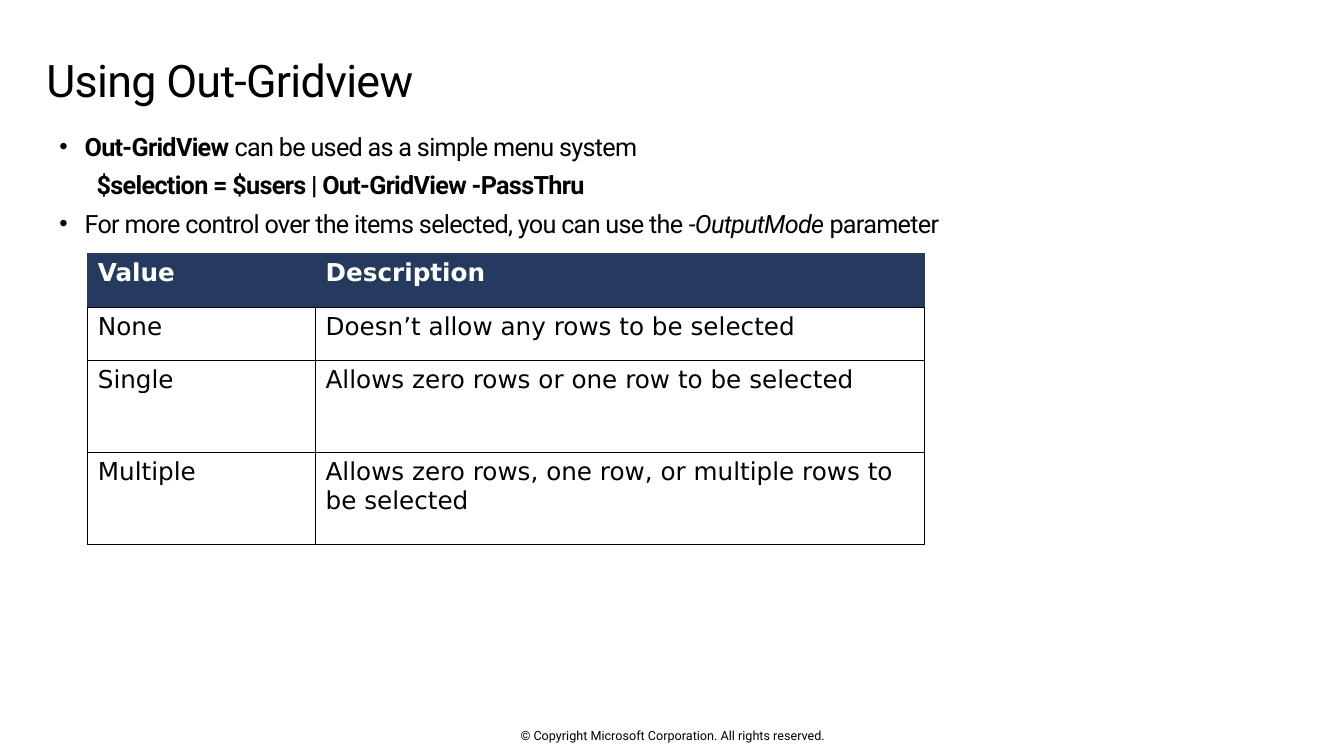
import pptx
import pptx.dml.color
import pptx.enum.text
import pptx.oxml.ns
import pptx.util
from dataclasses import dataclass
from lxml import etree

TITLE = "Using Out-Gridview"
POINTS = [
    ("bullet", [("Out-GridView", "bold"), (" can be used as a simple menu system", "")]),
    ("code", [("$selection = $users | Out-GridView -PassThru", "bold")]),
    ("bullet", [
        ("For more control over the items selected, you can use the ", ""),
        ("-OutputMode ", "italic"),
        ("parameter", ""),
    ]),
]
MODES = [
    ("Value", "Description"),
    ("None", "Doesn’t allow any rows to be selected"),
    ("Single", "Allows zero rows or one row to be selected"),
    ("Multiple", "Allows zero rows, one row, or multiple rows to be selected"),
]
COPYRIGHT = "© Copyright Microsoft Corporation. All rights reserved."

SLIDE_SIZE = (13.33, 7.5)
TITLE_AREA = (3.45, 6.4, 93.02, 9.87)
POINTS_AREA = (3.45, 16.67, 93.17, 21.33)
COPYRIGHT_AREA = (33.16, 96.27, 33.76, 2)
MODES_CORNER = (6.53, 33.6)
MODES_COLUMNS = (16.95, 45.31)
MODES_ROWS = (7.07, 7.07, 12.13, 12.13)
INDENTS = {"bullet": (0.38, -0.25), "code": (0.5, 0)}


@dataclass(frozen=True)
class Theme:
    font: str = "Roboto"
    table_font: str = "DejaVu Sans"
    ink: str = "000000"
    paper: str = "FFFFFF"
    header: str = "243A5E"
    title_size: float = 32
    body_size: float = 18
    table_size: float = 17.6
    copyright_size: float = 9


THEME = Theme()


def across(percent):
    return pptx.util.Inches(SLIDE_SIZE[0] * percent / 100)


def down(percent):
    return pptx.util.Inches(SLIDE_SIZE[1] * percent / 100)


def add_child(parent, tag, **attributes):
    return etree.SubElement(parent, pptx.oxml.ns.qn(tag), **attributes)


def write(paragraph, text, *, size, font=THEME.font, color=THEME.ink, style="", tracking=0):
    run = paragraph.add_run()
    run.text = text
    run.font.name = font
    run.font.size = pptx.util.Pt(size)
    run.font.color.rgb = pptx.dml.color.RGBColor.from_string(color)
    run.font.bold = style == "bold"
    run.font.italic = style == "italic"
    if tracking:
        run.font._element.set("spc", str(round(tracking * 100)))


def add_area(slide, area, insets):
    left, top, width, height = area
    frame = slide.shapes.add_textbox(across(left), down(top), across(width), down(height)).text_frame
    frame.word_wrap = True
    frame.margin_left, frame.margin_top, frame.margin_right, frame.margin_bottom = map(pptx.util.Inches, insets)
    return frame


def add_title(slide):
    heading = add_area(slide, TITLE_AREA, (0, 0.1, 0.16, 0.1)).paragraphs[0]
    heading.line_spacing = 0.9
    write(heading, TITLE, size=THEME.title_size, tracking=-0.5)


def add_points(slide):
    frame = add_area(slide, POINTS_AREA, (0, 0.05, 0, 0.05))
    for index, (kind, phrases) in enumerate(POINTS):
        point = frame.add_paragraph() if index else frame.paragraphs[0]
        if index:
            point.space_before = pptx.util.Pt(6)
        properties = point._p.get_or_add_pPr()
        margin, indent = INDENTS[kind]
        properties.set("marL", str(pptx.util.Inches(margin)))
        properties.set("indent", str(pptx.util.Inches(indent)))
        if kind == "bullet":
            add_child(properties, "a:buSzPct", val="95000")
            add_child(properties, "a:buFont", typeface="Arial")
            add_child(properties, "a:buChar", char="•")
        for text, style in phrases:
            write(point, text, size=THEME.body_size, style=style, tracking=-0.5)


def set_borders(cell, colors):
    properties = cell._tc.get_or_add_tcPr()
    for position, (side, color) in enumerate(zip("LRTB", colors)):
        line = add_child(properties, "a:ln" + side, w=str(pptx.util.Pt(1)))
        add_child(add_child(line, "a:solidFill"), "a:srgbClr", val=color)
        properties.insert(position, line)


def add_modes(slide):
    left, top = MODES_CORNER
    table = slide.shapes.add_table(
        len(MODES_ROWS), len(MODES_COLUMNS), across(left), down(top),
        across(sum(MODES_COLUMNS)), down(sum(MODES_ROWS)),
    ).table
    table.first_row = table.horz_banding = False
    for column, share in zip(table.columns, MODES_COLUMNS):
        column.width = across(share)
    for row, share, texts in zip(table.rows, MODES_ROWS, MODES):
        row.height = down(share)
        is_header = texts is MODES[0]
        edge = THEME.header if is_header else THEME.ink
        for cell, text in zip(row.cells, texts):
            cell.fill.solid()
            cell.fill.fore_color.rgb = pptx.dml.color.RGBColor.from_string(
                THEME.header if is_header else THEME.paper)
            set_borders(cell, (edge, edge, edge if is_header else THEME.ink, THEME.ink))
            write(cell.text_frame.paragraphs[0], text, size=THEME.table_size, font=THEME.table_font,
                  color=THEME.paper if is_header else THEME.ink, style="bold" if is_header else "")


def add_copyright(slide):
    frame = add_area(slide, COPYRIGHT_AREA, (0, 0, 0, 0))
    frame.vertical_anchor = pptx.enum.text.MSO_ANCHOR.MIDDLE
    notice = frame.paragraphs[0]
    notice.alignment = pptx.enum.text.PP_ALIGN.CENTER
    write(notice, COPYRIGHT, size=THEME.copyright_size)


def main():
    deck = pptx.Presentation()
    deck.slide_width, deck.slide_height = map(pptx.util.Inches, SLIDE_SIZE)
    slide = deck.slides.add_slide(deck.slide_layouts[6])
    add_copyright(slide)
    add_title(slide)
    add_points(slide)
    add_modes(slide)
    deck.save("out.pptx")


if __name__ == "__main__":
    main()
